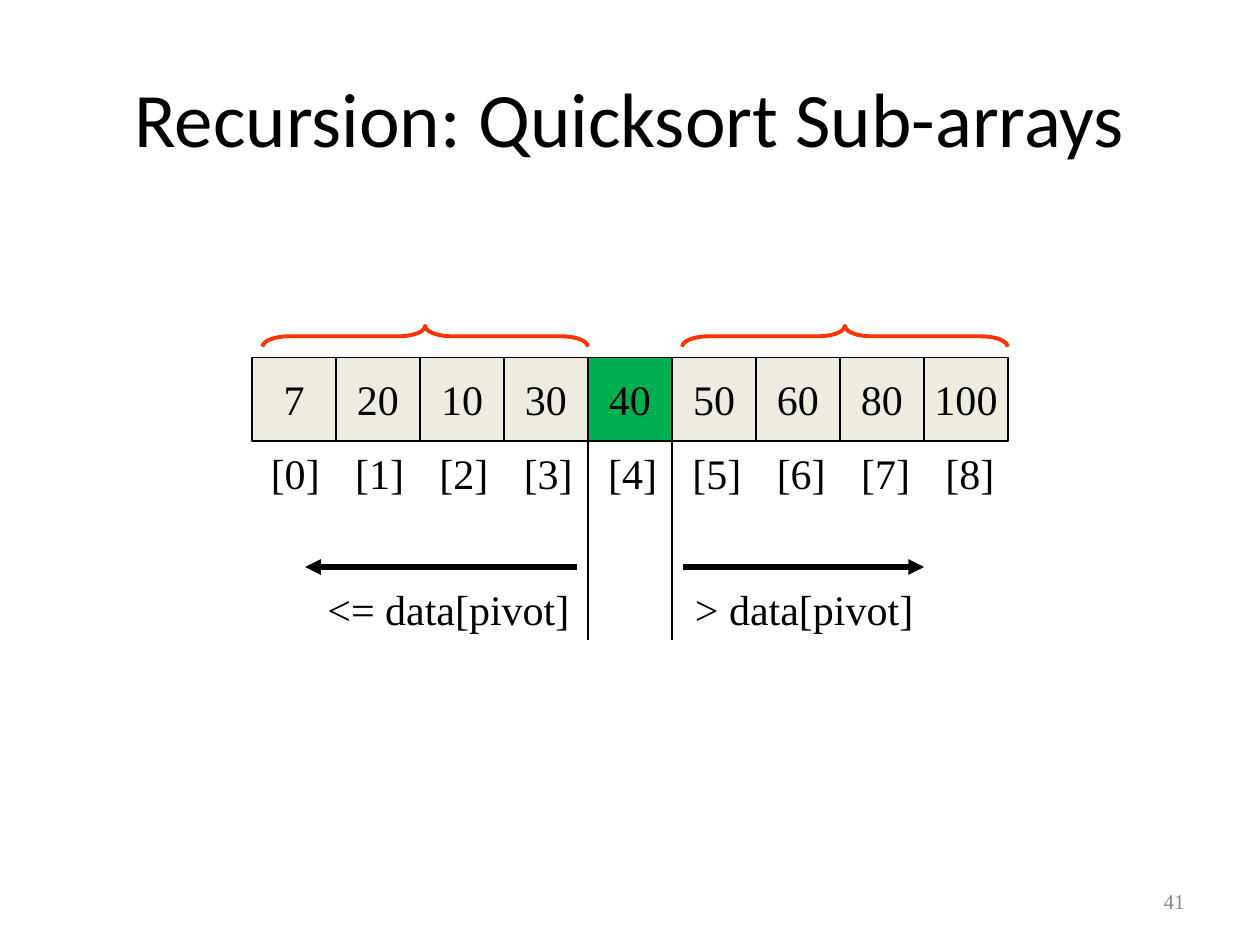
"""Build the slide on quicksort sub-arrays around a pivot."""
from lxml.etree import SubElement
from pptx import Presentation
from pptx.dml.color import RGBColor
from pptx.enum.shapes import MSO_CONNECTOR, MSO_SHAPE
from pptx.enum.text import MSO_ANCHOR, PP_ALIGN
from pptx.oxml.ns import qn
from pptx.util import Cm, Pt

BLACK = RGBColor(0, 0, 0)
GRAY = RGBColor(0x89, 0x89, 0x89)
CREAM = RGBColor(0xEE, 0xEC, 0xE1)
GREEN = RGBColor(0x00, 0xB0, 0x50)
RED = RGBColor(0xFF, 0x33, 0x00)

TITLE = "Recursion: Quicksort Sub-arrays"
DATA = [7, 20, 10, 30, 40, 50, 60, 80, 100]
PIVOT = 4
ARROWS = [(11.64, 6.15), (13.76, 18.63)]
NOTES = [("<= data[pivot]", 6.35, 5.6), ("> data[pivot]", 13.76, 5.2)]
BRACES = [8.57, 17.03]

LEFT, TOP = Cm(5.08), Cm(7.2)
CELL = Cm(15.24) / len(DATA)


def write(shape, text, size=24, font="Times New Roman", color=BLACK,
          align=PP_ALIGN.LEFT, anchor=MSO_ANCHOR.TOP, wrap=True):
    frame = shape.text_frame
    frame.word_wrap = wrap
    frame.vertical_anchor = anchor
    para = frame.paragraphs[0]
    para.alignment = align
    run = para.add_run()
    run.text = text
    run.font.size = Pt(size)
    run.font.name = font
    run.font.color.rgb = color
    return para


def rule(x1, y1, x2, y2, width=0.75, arrow=False):
    line = shapes.add_connector(MSO_CONNECTOR.STRAIGHT, x1, y1, x2, y2)
    line.line.color.rgb = BLACK
    line.line.width = Pt(width)
    if arrow:
        SubElement(line.line._get_or_add_ln(), qn("a:tailEnd"), type="triangle")
    SubElement(line._element.spPr, qn("a:effectLst"))


deck = Presentation()
deck.slide_width, deck.slide_height = Cm(25.4), Cm(19.05)
slide = deck.slides.add_slide(deck.slide_layouts[5])
shapes = slide.shapes

title = shapes.title
title.left, title.top, title.width, title.height = Cm(1.27), Cm(0.76), Cm(22.86), Cm(3.18)
write(title, TITLE, size=44, font="Calibri", align=PP_ALIGN.CENTER,
      anchor=MSO_ANCHOR.MIDDLE)

for i, value in enumerate(DATA):
    box = shapes.add_shape(MSO_SHAPE.RECTANGLE, int(LEFT + i * CELL), TOP, int(CELL), int(CELL))
    box.shadow.inherit = False
    box.fill.solid()
    box.fill.fore_color.rgb = GREEN if i == PIVOT else CREAM
    box.line.color.rgb = BLACK
    box.line.width = Pt(0.75)
    write(box, str(value), align=PP_ALIGN.CENTER, anchor=MSO_ANCHOR.MIDDLE, wrap=False)

index = shapes.add_textbox(Cm(5.21), Cm(8.89), Cm(15.5), Cm(1.27))
para = write(index, "\t".join(f"[{i}]" for i in range(len(DATA))))
tabs = SubElement(para._p.get_or_add_pPr(), qn("a:tabLst"))
for i in range(1, len(DATA)):
    SubElement(tabs, qn("a:tab"), pos=str(int(i * Cm(1.7))), algn="l")

for i in (PIVOT, PIVOT + 1):
    x = int(LEFT + i * CELL)
    rule(x, TOP, x, Cm(12.9))

for start, end in ARROWS:
    rule(Cm(start), Cm(11.43), Cm(end), Cm(11.43), width=3, arrow=True)

for text, left, width in NOTES:
    write(shapes.add_textbox(Cm(left), Cm(11.64), Cm(width), Cm(1.27)), text)

for mid in BRACES:
    wide, tall = Cm(0.42), Cm(6.56)
    brace = shapes.add_shape(MSO_SHAPE.LEFT_BRACE, Cm(mid) - wide // 2,
                             Cm(6.78) - tall // 2, wide, tall)
    brace.rotation = 90
    brace.adjustments[0] = 1.29
    brace.adjustments[1] = 0.5
    brace.shadow.inherit = False
    brace.fill.background()
    brace.line.color.rgb = RED
    brace.line.width = Pt(2.25)

number = shapes.add_textbox(Cm(18.2), Cm(17.66), Cm(5.93), Cm(1.01))
write(number, "41", size=12, color=GRAY, align=PP_ALIGN.RIGHT,
      anchor=MSO_ANCHOR.MIDDLE)

deck.save("out.pptx")
